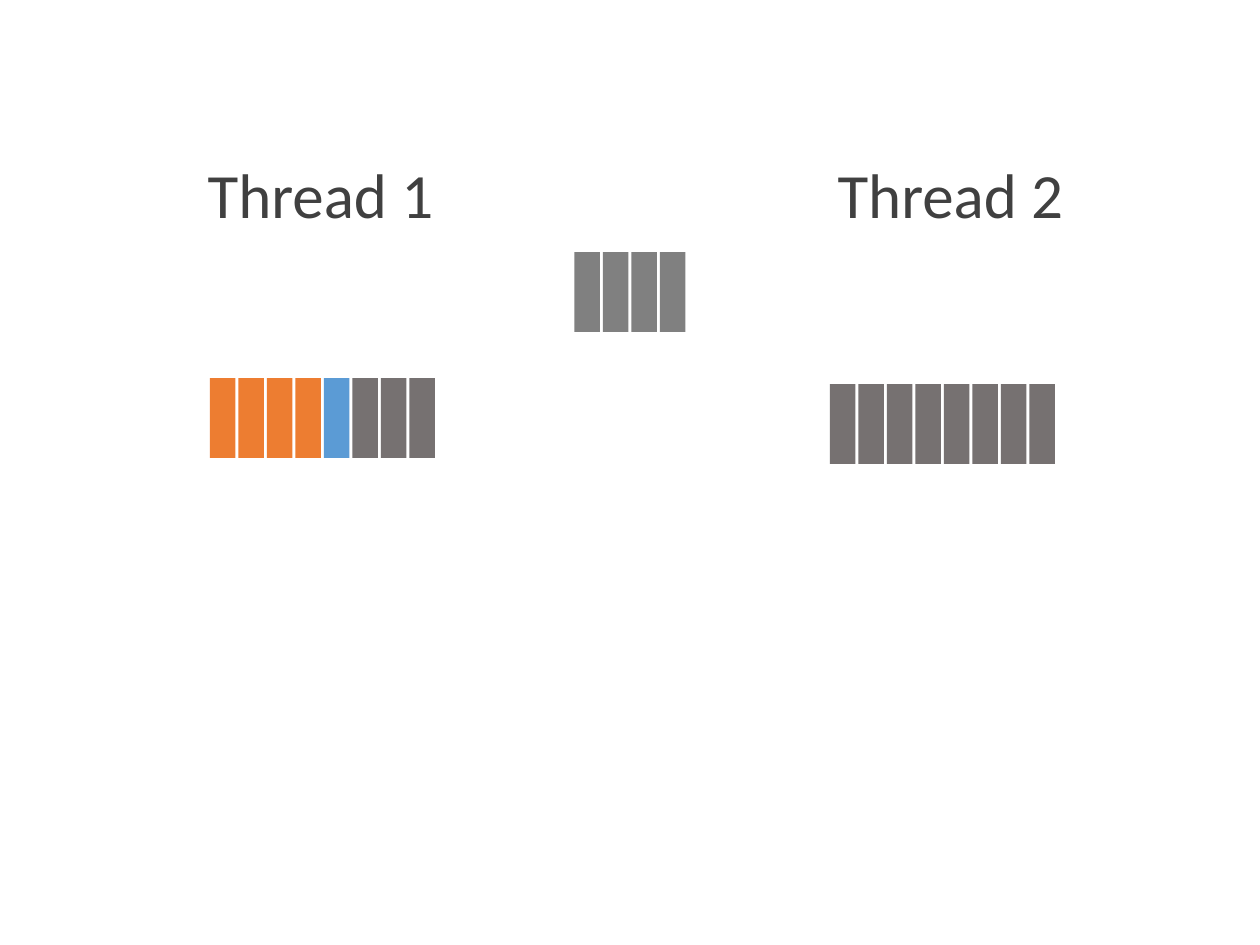
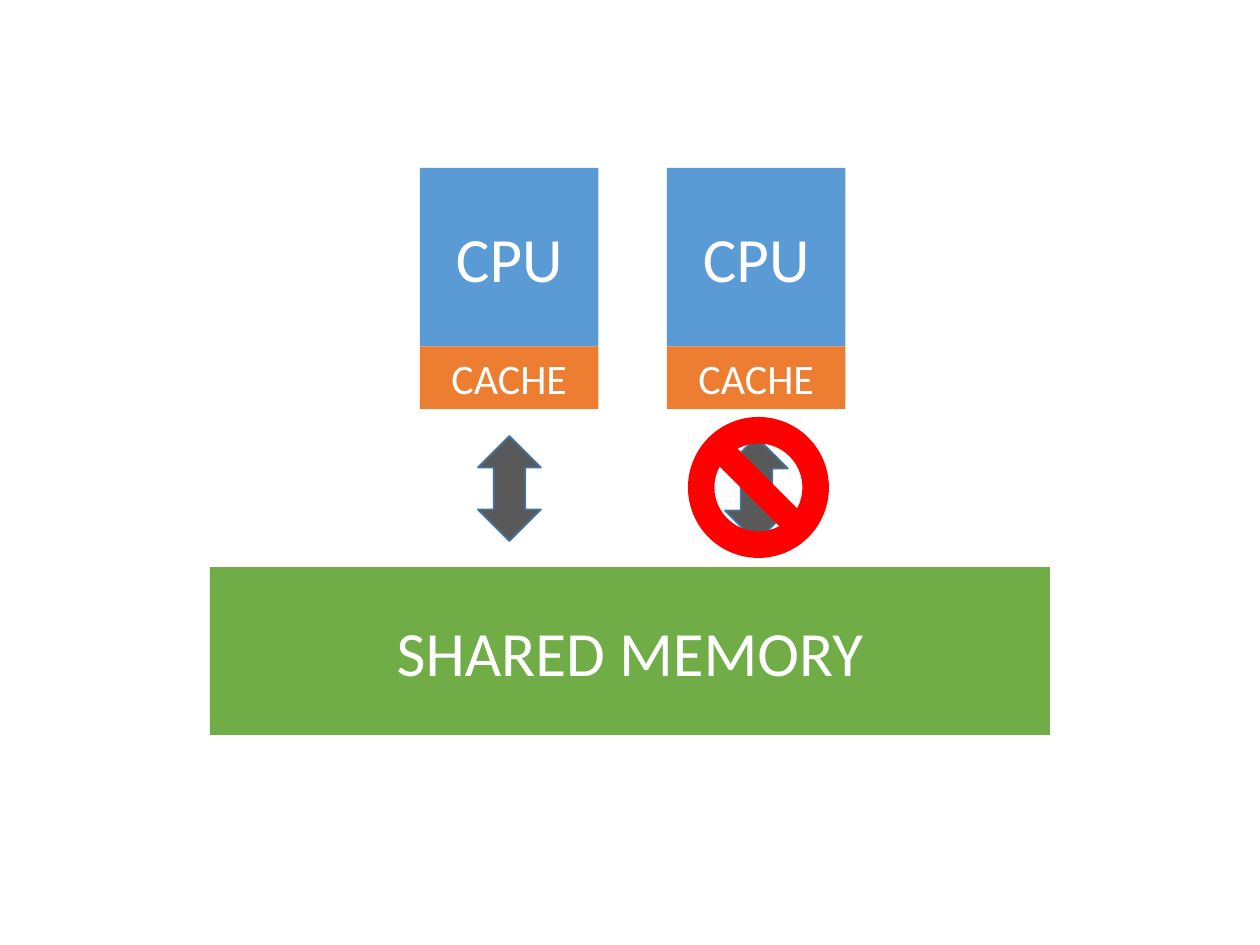
from pptx import Presentation
from pptx.dml.color import RGBColor
from pptx.enum.shapes import MSO_SHAPE
from pptx.enum.text import MSO_ANCHOR, PP_ALIGN
from pptx.util import Pt

PX = 914400 // 126
FONT = "Calibri"
WHITE = RGBColor(0xFF, 0xFF, 0xFF)
DARK = RGBColor(0x40, 0x40, 0x40)
STEEL = RGBColor(0x59, 0x59, 0x59)
GRAY = RGBColor(0x80, 0x80, 0x80)
STONE = RGBColor(0x76, 0x71, 0x71)
ORANGE = RGBColor(0xED, 0x7D, 0x31)
BLUE = RGBColor(0x5B, 0x9B, 0xD5)
NAVY = RGBColor(0x43, 0x73, 0x9E)
GREEN = RGBColor(0x70, 0xAD, 0x47)
RED = RGBColor(0xFF, 0x00, 0x00)


def scale(*box):
    return [round(side * PX) for side in box]


def style(frame, text, size, color):
    frame.word_wrap = True
    line = frame.paragraphs[0]
    line.text = text
    line.alignment = PP_ALIGN.CENTER
    line.font.name = FONT
    line.font.size = Pt(size)
    line.font.color.rgb = color
    return line


def add_block(shapes, kind, box, fill, edge=None, text="", size=36):
    shape = shapes.add_shape(kind, *scale(*box))
    shape.shadow.inherit = False
    shape.fill.solid()
    shape.fill.fore_color.rgb = fill
    if edge is None:
        shape.line.fill.background()
    else:
        shape.line.color.rgb = edge
        shape.line.width = Pt(1)
    if text:
        shape.text_frame.vertical_anchor = MSO_ANCHOR.MIDDLE
        style(shape.text_frame, text, size, WHITE)


def add_title(slide, box, text):
    frame = slide.shapes.add_textbox(*scale(*box)).text_frame
    line = style(frame, text, 36, DARK)
    line.line_spacing = 0.9
    line.space_before = Pt(10)


def add_cells(slide, box, fills):
    left, top, width, height = box
    cell = 25.5
    step = (width - cell) / (len(fills) - 1)
    group = slide.shapes.add_group_shape()
    for i, fill in enumerate(fills):
        place = (left + i * step, top, cell, height)
        add_block(group.shapes, MSO_SHAPE.RECTANGLE, place, fill)


def add_core(slide, box):
    left, top, width, height = box
    group = slide.shapes.add_group_shape()
    add_block(group.shapes, MSO_SHAPE.RECTANGLE, (left, top, width, width),
              BLUE, text="CPU")
    add_block(group.shapes, MSO_SHAPE.RECTANGLE,
              (left, top + width, width, height - width),
              ORANGE, text="CACHE", size=24)


def draw_threads(slide):
    for i in range(2):
        add_title(slide, (105 + i * 630, 158, 431, 74), f"Thread {i + 1}")
    add_cells(slide, (210, 378, 225, 80),
              [ORANGE] * 4 + [BLUE] + [STONE] * 3)
    add_cells(slide, (830, 384, 225, 80), [STONE] * 8)
    add_cells(slide, (574.5, 252, 111, 80), [GRAY] * 4)


def draw_memory(slide):
    shapes = slide.shapes
    for i in range(2):
        add_core(slide, (420 + i * 247, 168, 178.5, 241))
    add_block(shapes, MSO_SHAPE.RECTANGLE, (210, 567, 840, 168),
              GREEN, text="SHARED MEMORY")
    for i in range(2):
        add_block(shapes, MSO_SHAPE.UP_DOWN_ARROW,
                  (478 + i * 247, 436 + i, 63, 105), STEEL, NAVY)
    add_block(shapes, MSO_SHAPE.NO_SYMBOL, (688, 417, 141, 141), RED)


deck = Presentation()
deck.slide_width, deck.slide_height = scale(1260, 945)
for draw in (draw_threads, draw_memory):
    draw(deck.slides.add_slide(deck.slide_layouts[6]))
deck.save("out.pptx")
